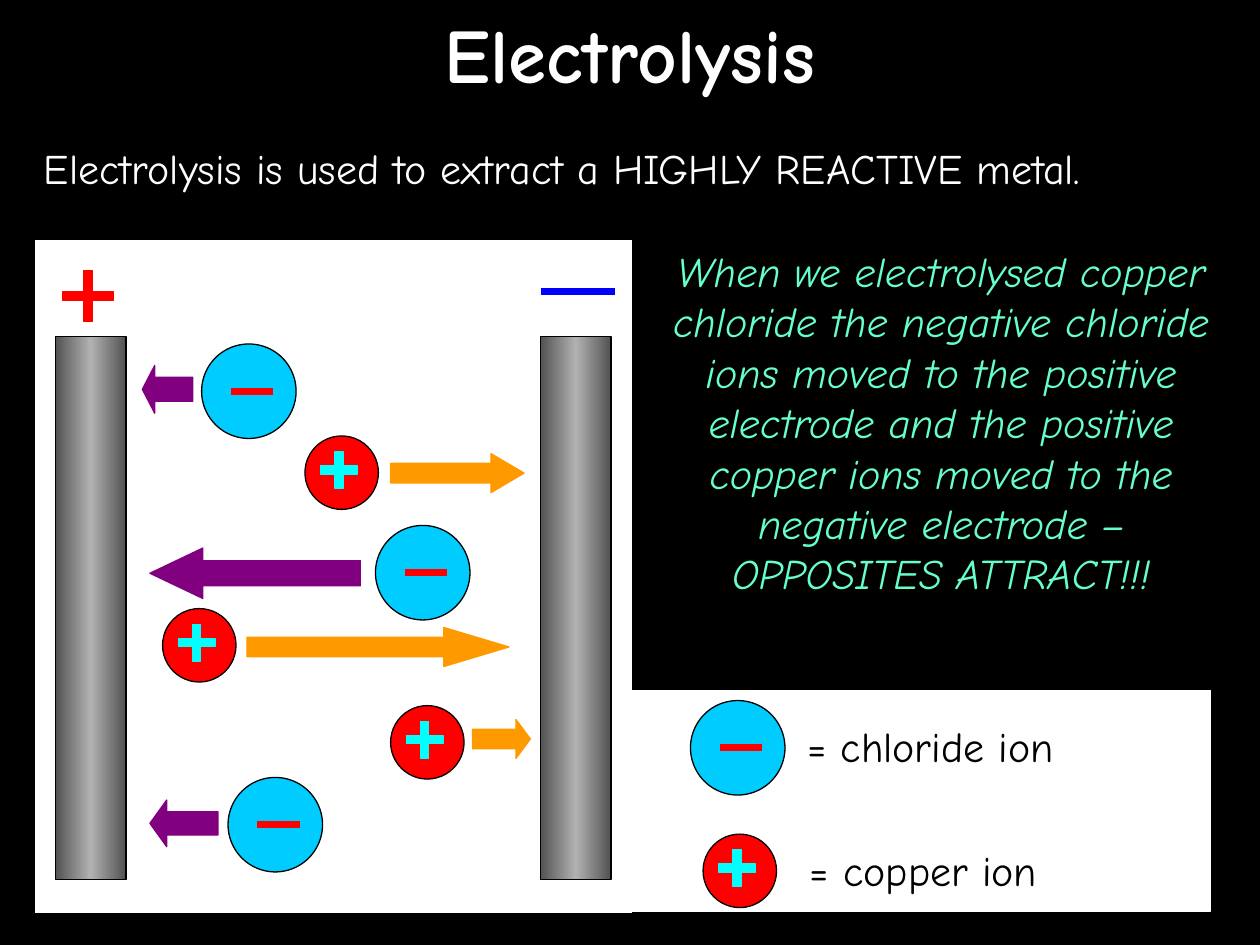
import copy
import pptx
import pptx.dml.color
import pptx.enum.shapes
import pptx.enum.text
import pptx.oxml.ns
import pptx.util
from lxml import etree

RGB = pptx.dml.color.RGBColor
SHAPE = pptx.enum.shapes.MSO_SHAPE
ALIGN = pptx.enum.text.PP_ALIGN
ANCHOR = pptx.enum.text.MSO_ANCHOR

BLACK = RGB(0x00, 0x00, 0x00)
WHITE = RGB(0xFF, 0xFF, 0xFF)
RED = RGB(0xFF, 0x00, 0x00)
BLUE = RGB(0x00, 0x00, 0xFF)
CYAN = RGB(0x00, 0xFF, 0xFF)
SKY = RGB(0x00, 0xCC, 0xFF)
MINT = RGB(0x66, 0xFF, 0xCC)
ORANGE = RGB(0xFF, 0x99, 0x00)
PURPLE = RGB(0x80, 0x00, 0x80)
DARK_METAL = RGB(0x52, 0x52, 0x52)
LIGHT_METAL = RGB(0xB2, 0xB2, 0xB2)

FONT = "Comic Neue"
SLIDE_WIDTH = pptx.util.Inches(10)
SLIDE_HEIGHT = pptx.util.Inches(7.5)
CHLORIDE_SIZE = 7.5
COPPER_SIZE = 5.83


def grid(units):
    """Convert grid units, each a hundredth of the slide width, to a length."""
    return pptx.util.Emu(round(units * SLIDE_WIDTH / 100))


def add_text(slide, box, text, color, size=24, align=ALIGN.LEFT,
             anchor=ANCHOR.TOP, bold=False, italic=False):
    """Write one wrapped paragraph in the box."""
    frame = slide.shapes.add_textbox(*map(grid, box)).text_frame
    frame.word_wrap = True
    frame.vertical_anchor = anchor
    paragraph = frame.paragraphs[0]
    paragraph.text = text
    paragraph.alignment = align
    font = paragraph.font
    font.name, font.size = FONT, pptx.util.Pt(size)
    font.bold, font.italic = bold, italic
    font.color.rgb = color


def add_solid(slide, kind, box, fill, outline, adjustments=()):
    """Draw a filled preset shape with a thin outline."""
    solid = slide.shapes.add_shape(kind, *map(grid, box))
    solid.shadow.inherit = False
    solid.fill.solid()
    solid.fill.fore_color.rgb = fill
    solid.line.color.rgb = outline
    solid.line.width = pptx.util.Pt(0.75)
    for index, value in enumerate(adjustments):
        solid.adjustments[index] = value
    return solid


def add_minus(slide, left, middle, width, color):
    """Draw a minus sign as a thick level line."""
    minus = slide.shapes.add_connector(
        pptx.enum.shapes.MSO_CONNECTOR.STRAIGHT,
        *map(grid, (left, middle, left + width, middle)))
    minus.line.color.rgb = color
    minus.line.width = pptx.util.Pt(4)
    etree.SubElement(minus._element.spPr, pptx.oxml.ns.qn("a:effectLst"))


def add_chloride_ion(slide, left, top):
    """Draw a negative chloride ion."""
    size = CHLORIDE_SIZE
    add_solid(slide, SHAPE.OVAL, (left, top, size, size), SKY, BLACK)
    add_minus(slide, left + 0.31 * size, top + size / 2, 0.45 * size, RED)


def add_copper_ion(slide, left, top):
    """Draw a positive copper ion."""
    size, inset = COPPER_SIZE, 1.25
    add_solid(slide, SHAPE.OVAL, (left, top, size, size), RED, BLACK)
    add_solid(slide, SHAPE.CROSS, (left + inset, top + inset, size / 2, size / 2),
              CYAN, CYAN, [0.39])


def add_electrode(slide, box):
    """Draw a metal rod that is bright along its middle."""
    rod = add_solid(slide, SHAPE.RECTANGLE, box, DARK_METAL, BLACK)
    rod.fill.gradient()
    rod.fill.gradient_angle = 0
    first = rod._element.spPr.find(".//" + pptx.oxml.ns.qn("a:gs"))
    first.addnext(copy.deepcopy(first))
    shades = zip(rod.fill.gradient_stops, (DARK_METAL, LIGHT_METAL, DARK_METAL),
                 (0, 0.5, 1))
    for stop, color, position in shades:
        stop.color.rgb = color
        stop.position = position


def add_cell(slide, box):
    """Draw the electrolysis cell with its electrodes and moving ions."""
    left, top, width, height = box
    add_solid(slide, SHAPE.RECTANGLE, box, WHITE, BLACK)
    for offset in (1.7, 40.2):
        add_electrode(slide, (left + offset, top + 7.7, 5.6, 43.1))
    add_solid(slide, SHAPE.CROSS, (left + 2.3, top + 2.5, 4, 4), RED, RED, [0.41])
    add_minus(slide, left + 40.2, top + 4.1, 5.9, BLUE)
    for x, y in ((13.3, 8.3), (27.1, 22.7), (15.4, 42.7)):
        add_chloride_ion(slide, left + x, top + y)
    for x, y in ((21.5, 15.6), (10.2, 29.3), (28.3, 37)):
        add_copper_ion(slide, left + x, top + y)
    to_cathode = ((28.3, 17, 10.6, 3.1, 0.85), (34.8, 38.1, 4.6, 3.1, 0.37),
                  (16.9, 30.8, 20.8, 3.1, 1.67))
    to_anode = ((8.6, 10, 4, 3.8, 0.26), (9.2, 44.5, 5.4, 3.7, 0.36),
                (9.2, 24.5, 16.7, 4, 1.05))
    for kind, color, arrows in ((SHAPE.RIGHT_ARROW, ORANGE, to_cathode),
                                (SHAPE.LEFT_ARROW, PURPLE, to_anode)):
        for x, y, length, breadth, head in arrows:
            add_solid(slide, kind, (left + x, top + y, length, breadth),
                      color, color, [0.5, head])


def add_key(slide, box):
    """Draw the key that names the two kinds of ion."""
    left, top, width, height = box
    add_solid(slide, SHAPE.RECTANGLE, box, WHITE, WHITE)
    add_chloride_ion(slide, left + 5.4, top + 0.8)
    add_copper_ion(slide, left + 6.4, top + 11.4)
    add_text(slide, (left + 13.7, top + 1.9, 30.6, 5), "= chloride ion", BLACK)
    add_text(slide, (left + 13.9, top + 11.7, 29, 5), "= copper ion", BLACK)


def build():
    """Build and save the electrolysis slide."""
    deck = pptx.Presentation()
    deck.slide_width, deck.slide_height = SLIDE_WIDTH, SLIDE_HEIGHT
    slide = deck.slides.add_slide(deck.slide_layouts[6])
    slide.background.fill.solid()
    slide.background.fill.fore_color.rgb = BLACK
    add_text(slide, (0, 0, 100, 8.3), "Electrolysis", WHITE, size=44,
             align=ALIGN.CENTER, anchor=ANCHOR.MIDDLE, bold=True)
    add_text(slide, (2.5, 10.8, 95, 5),
             "Electrolysis is used to extract a HIGHLY REACTIVE metal.", WHITE)
    add_cell(slide, (2.7, 19, 47.5, 53.5))
    add_key(slide, (49.4, 54.8, 46.7, 17.5))
    add_text(slide, (51.9, 19, 45.6, 29),
             "When we electrolysed copper chloride the negative chloride ions "
             "moved to the positive electrode and the positive copper ions moved "
             "to the negative electrode – OPPOSITES ATTRACT!!!",
             MINT, align=ALIGN.CENTER, italic=True)
    deck.save("out.pptx")


if __name__ == "__main__":
    build()
